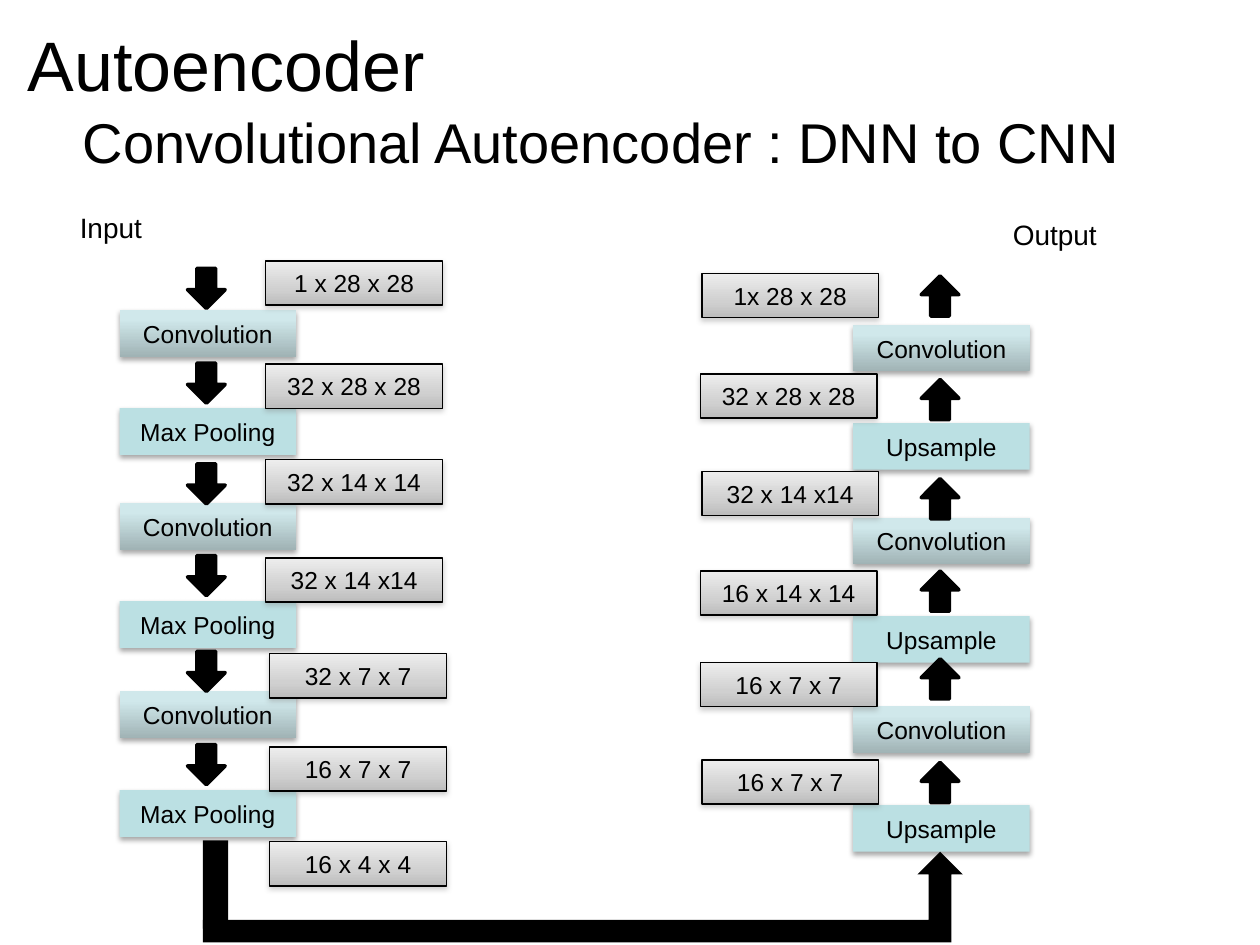
from dataclasses import dataclass

from lxml import etree
from pptx import Presentation
from pptx.dml.color import RGBColor
from pptx.enum.shapes import MSO_SHAPE
from pptx.enum.text import MSO_ANCHOR, PP_ALIGN
from pptx.oxml.ns import qn
from pptx.util import Cm, Pt

RECTANGLE = MSO_SHAPE.RECTANGLE
DOWN_ARROW = MSO_SHAPE.DOWN_ARROW
BENT_UP_ARROW = MSO_SHAPE.BENT_UP_ARROW
TOP, MIDDLE = MSO_ANCHOR.TOP, MSO_ANCHOR.MIDDLE
LEFT, CENTER = PP_ALIGN.LEFT, PP_ALIGN.CENTER

FONT = "Arial"
BLACK = "000000"
POOL_FILL = "BBE0E3"
LAYER_SIZE = (3.56, 0.94)
TENSOR_SIZE = (3.56, 0.89)
ARROW_SIZE = (0.76, 0.81)
LAYER_OFFSETS = (0, 1.98, 3.89, 5.87, 7.69, 9.68)


@dataclass(frozen=True)
class Gradient:
    stops: tuple[tuple[int, str], ...]  # percent, colour
    angle: int  # degrees, counter-clockwise


@dataclass(frozen=True)
class Shadow:
    color: str
    opacity: int
    blur: float
    distance: float


@dataclass(frozen=True)
class Tensor:
    text: str
    left: float
    top: float


@dataclass(frozen=True)
class Stack:
    """One column of layers with its arrows and tensor sizes; lengths in cm."""
    left: float
    top: float
    resize_layer: str
    arrow_left: float
    arrow_tops: tuple[float, ...]
    arrow_rotation: int
    tensors: tuple[Tensor, ...]


CONVOLUTION_FILL = Gradient(((0, "A0B3B5"), (80, "D0E8EB"), (100, "D1EAEC")), 90)
TENSOR_FILL = Gradient(((0, "EDEDED"), (65, "D0D0D0"), (100, "BCBCBC")), 270)
LAYER_SHADOW = Shadow(BLACK, 35, 3.1, 1.8)
TENSOR_SHADOW = Shadow("808080", 38, 3.1, 1.6)

ENCODER = Stack(
    2.41, 6.25, "Max Pooling", 3.78,
    (5.41, 7.32, 9.35, 11.2, 13.13, 15.01), 0,
    (
        Tensor("1 x 28 x 28", 5.36, 5.26),
        Tensor("32 x 28 x 28", 5.36, 7.34),
        Tensor("32 x 14 x 14", 5.36, 9.27),
        Tensor("32 x 14 x14", 5.36, 11.25),
        Tensor("32 x 7 x 7", 5.44, 13.18),
        Tensor("16 x 7 x 7", 5.44, 15.06),
        Tensor("16 x 4 x 4", 5.44, 16.97),
    ),
)
DECODER = Stack(
    17.2, 6.55, "Upsample", 18.57,
    (5.56, 7.65, 9.65, 11.51, 13.28, 15.37), 180,
    (
        Tensor("1x 28 x 28", 14.15, 5.51),
        Tensor("32 x 28 x 28", 14.12, 7.54),
        Tensor("32 x 14 x14", 14.15, 9.5),
        Tensor("16 x 14 x 14", 14.12, 11.51),
        Tensor("16 x 7 x 7", 14.12, 13.36),
        Tensor("16 x 7 x 7", 14.15, 15.32),
    ),
)


def rgb(color: str) -> RGBColor:
    return RGBColor.from_string(color)


def write(shape, text: str, size: int, align=CENTER, anchor=MIDDLE) -> None:
    frame = shape.text_frame
    frame.text = text
    frame.word_wrap = True
    frame.vertical_anchor = anchor
    paragraph = frame.paragraphs[0]
    paragraph.alignment = align
    font = paragraph.runs[0].font
    font.name, font.size = FONT, Pt(size)
    font.color.rgb = rgb(BLACK)


def add_color(parent, color: str):
    return etree.SubElement(parent, qn("a:srgbClr"), val=color)


def apply_gradient(shape, gradient: Gradient) -> None:
    shape.fill.gradient()
    shape.fill.gradient_angle = gradient.angle
    stop_list = shape._element.spPr.find(qn("a:gradFill")).find(qn("a:gsLst"))
    for stop in list(stop_list):
        stop_list.remove(stop)
    for percent, color in gradient.stops:
        stop = etree.SubElement(stop_list, qn("a:gs"), pos=str(percent * 1000))
        add_color(stop, color)


def apply_shadow(shape, shadow: Shadow) -> None:
    effects = shape._element.spPr.find(qn("a:effectLst"))
    outer = etree.SubElement(
        effects, qn("a:outerShdw"), blurRad=str(Pt(shadow.blur)),
        dist=str(Pt(shadow.distance)), dir="5400000", rotWithShape="0")
    color = add_color(outer, shadow.color)
    etree.SubElement(color, qn("a:alpha"), val=str(shadow.opacity * 1000))


def add_block(slide, kind, left: float, top: float, size: tuple[float, float],
              fill: str | Gradient = BLACK, line_width: float = 0,
              shadow: Shadow | None = None):
    """Add a preset shape; lengths in cm, line width in points."""
    block = slide.shapes.add_shape(kind, Cm(left), Cm(top), *map(Cm, size))
    if isinstance(fill, Gradient):
        apply_gradient(block, fill)
    else:
        block.fill.solid()
        block.fill.fore_color.rgb = rgb(fill)
    if line_width:
        block.line.color.rgb = rgb(BLACK)
        block.line.width = Pt(line_width)
    else:
        block.line.fill.background()
    block.shadow.inherit = False
    if shadow:
        apply_shadow(block, shadow)
    return block


def add_caption(slide, text: str, left: float, top: float, width: float,
                height: float, size: int, align=CENTER) -> None:
    caption = slide.shapes.add_textbox(Cm(left), Cm(top), Cm(width), Cm(height))
    write(caption, text, size, align, TOP)


def add_stack(slide, stack: Stack) -> None:
    for index, offset in enumerate(LAYER_OFFSETS):
        resizes = index % 2 == 1
        layer = add_block(slide, RECTANGLE, stack.left, stack.top + offset, LAYER_SIZE,
                          POOL_FILL if resizes else CONVOLUTION_FILL,
                          shadow=LAYER_SHADOW)
        write(layer, stack.resize_layer if resizes else "Convolution", 14)
    for tensor in stack.tensors:
        label = add_block(slide, RECTANGLE, tensor.left, tensor.top, TENSOR_SIZE,
                          TENSOR_FILL, 0.75, TENSOR_SHADOW)
        write(label, tensor.text, 14)
    for top in stack.arrow_tops:
        arrow = add_block(slide, DOWN_ARROW, stack.arrow_left, top, ARROW_SIZE,
                          line_width=2)
        arrow.rotation = stack.arrow_rotation


def main() -> None:
    deck = Presentation()
    deck.slide_width, deck.slide_height = Cm(25.4), Cm(19.05)
    slide = deck.slides.add_slide(deck.slide_layouts[5])

    title = slide.shapes.title
    title.left, title.top, title.width, title.height = Cm(0), Cm(0.3), Cm(25.4), Cm(1.8)
    write(title, "Autoencoder", 40, LEFT, TOP)
    title.text_frame.margin_left = Cm(0.56)
    add_caption(slide, "Convolutional Autoencoder : DNN to CNN",
                1.42, 2.05, 21.9, 1.7, 32, LEFT)

    add_caption(slide, "Input", 0.99, 4.11, 2.49, 0.89, 16)
    add_stack(slide, ENCODER)
    add_stack(slide, DECODER)
    add_caption(slide, "Output", 20.02, 4.27, 2.49, 0.94, 16)

    add_block(slide, BENT_UP_ARROW, 4.09, 17.17, (15.32, 1.83))
    add_block(slide, RECTANGLE, 4.09, 16.94, (0.51, 1.78))
    deck.save("out.pptx")


if __name__ == "__main__":
    main()
